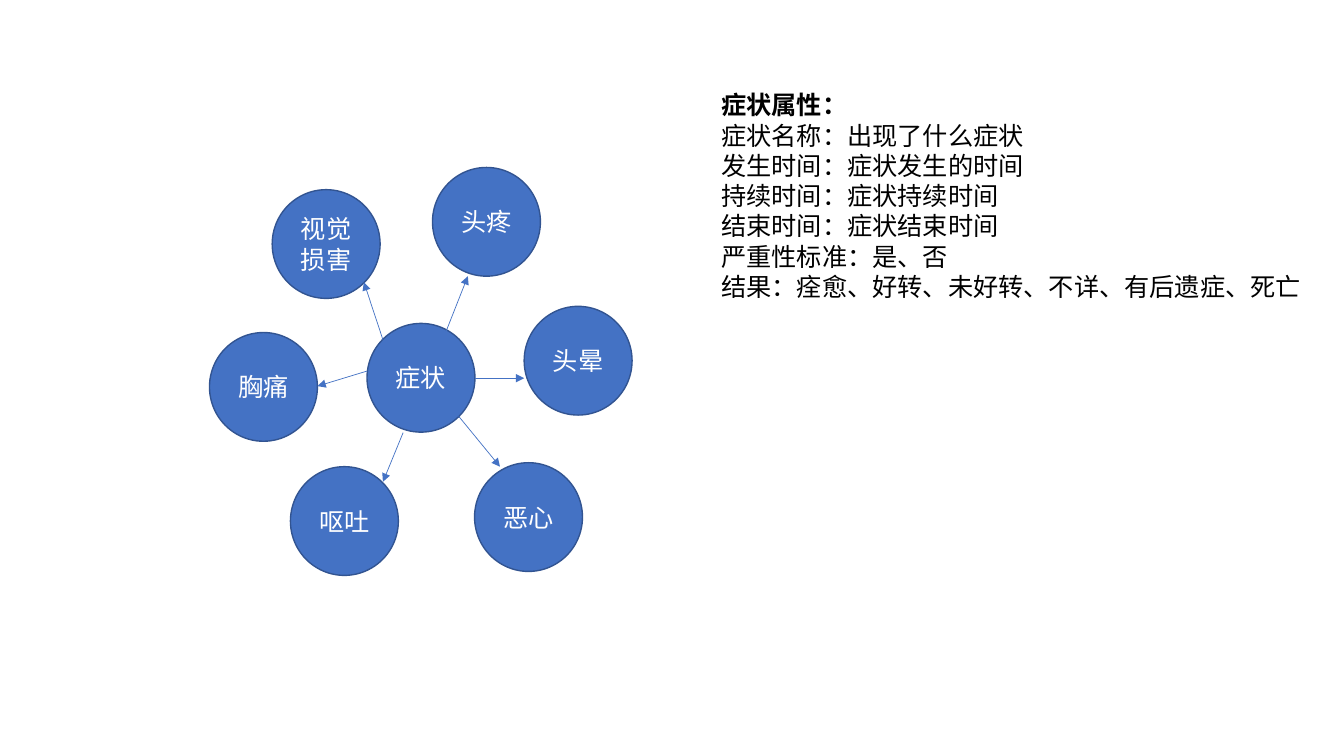
from dataclasses import dataclass

from lxml import etree
from pptx import Presentation
from pptx.dml.color import RGBColor
from pptx.enum.shapes import MSO_CONNECTOR, MSO_SHAPE
from pptx.enum.text import MSO_ANCHOR, PP_ALIGN
from pptx.oxml.ns import qn
from pptx.slide import Slide
from pptx.text.text import _Paragraph
from pptx.util import Cm, Pt

FONT = "Noto Sans CJK SC"
BLUE, DARK_BLUE, WHITE, BLACK = "4472C4", "325491", "FFFFFF", "000000"
CIRCLE_WIDTH, CIRCLE_HEIGHT = 2.72, 2.74


@dataclass(frozen=True)
class Symptom:
    """A labelled circle, placed by its top left corner in cm."""
    label: str
    left: float
    top: float


@dataclass(frozen=True)
class Arrow:
    """A straight arrow between two points in cm."""
    x1: float
    y1: float
    x2: float
    y2: float


SYMPTOMS = [
    Symptom("症状", 9.25, 8.15),
    Symptom("头疼", 10.9, 4.22),
    Symptom("头晕", 13.21, 7.72),
    Symptom("恶心", 11.96, 11.66),
    Symptom("呕吐", 7.32, 11.76),
    Symptom("胸痛", 5.28, 8.38),
    Symptom("视觉损害", 6.86, 4.78),
]
ARROWS = [
    Arrow(11.23, 8.38, 11.79, 6.96),
    Arrow(11.96, 9.53, 13.21, 9.53),
    Arrow(11.56, 10.49, 12.6, 11.76),
    Arrow(10.16, 10.9, 9.65, 12.14),
    Arrow(9.25, 9.35, 8.0, 9.73),
    Arrow(9.65, 8.56, 9.17, 7.11),
]
ATTRIBUTES = [
    "症状属性：",
    "症状名称：出现了什么症状",
    "发生时间：症状发生的时间",
    "持续时间：症状持续时间",
    "结束时间：症状结束时间",
    "严重性标准：是、否",
    "结果：痊愈、好转、未好转、不详、有后遗症、死亡",
]


def rgb(value: str) -> RGBColor:
    """Turn a hex string into a colour."""
    return RGBColor.from_string(value)


def write(paragraph: _Paragraph, text: str, color: str, bold: bool = False) -> None:
    """Fill a paragraph with one styled run."""
    paragraph.line_spacing = Pt(21.6)
    run = paragraph.add_run()
    run.text = text
    run.font.size = Pt(18)
    run.font.bold = bold
    run.font.name = FONT
    run.font.color.rgb = rgb(color)
    etree.SubElement(run.font._element, qn("a:ea"), typeface=FONT)


def add_symptom(slide: Slide, symptom: Symptom) -> None:
    """Draw a circle with its centred label."""
    circle = slide.shapes.add_shape(
        MSO_SHAPE.OVAL, Cm(symptom.left), Cm(symptom.top),
        Cm(CIRCLE_WIDTH), Cm(CIRCLE_HEIGHT))
    circle.shadow.inherit = False
    circle.fill.solid()
    circle.fill.fore_color.rgb = rgb(BLUE)
    circle.line.color.rgb = rgb(DARK_BLUE)
    circle.line.width = Pt(1)
    frame = circle.text_frame
    frame.word_wrap = True
    frame.vertical_anchor = MSO_ANCHOR.MIDDLE
    paragraph = frame.paragraphs[0]
    paragraph.alignment = PP_ALIGN.CENTER
    write(paragraph, symptom.label, WHITE)


def add_arrow(slide: Slide, arrow: Arrow) -> None:
    """Draw a thin line with a triangular head at its end."""
    line = slide.shapes.add_connector(
        MSO_CONNECTOR.STRAIGHT, Cm(arrow.x1), Cm(arrow.y1),
        Cm(arrow.x2), Cm(arrow.y2))
    line.line.color.rgb = rgb(BLUE)
    line.line.width = Pt(0.5)
    etree.SubElement(line.line._get_or_add_ln(), qn("a:tailEnd"), type="triangle")
    etree.SubElement(line._element.spPr, qn("a:effectLst"))


def add_attributes(slide: Slide, lines: list[str]) -> None:
    """Write the attribute list under its bold heading."""
    box = slide.shapes.add_textbox(Cm(17.93), Cm(2.08), Cm(15.6), Cm(6.4))
    frame = box.text_frame
    frame.word_wrap = True
    frame.margin_top = Cm(0.18)
    for index, text in enumerate(lines):
        paragraph = frame.add_paragraph() if index else frame.paragraphs[0]
        write(paragraph, text, BLACK, bold=index == 0)


def main() -> None:
    """Build and save the slide."""
    deck = Presentation()
    deck.slide_width, deck.slide_height = Cm(33.87), Cm(19.05)
    slide = deck.slides.add_slide(deck.slide_layouts[6])
    for symptom in SYMPTOMS:
        add_symptom(slide, symptom)
    for arrow in ARROWS:
        add_arrow(slide, arrow)
    add_attributes(slide, ATTRIBUTES)
    deck.save("out.pptx")


main()
